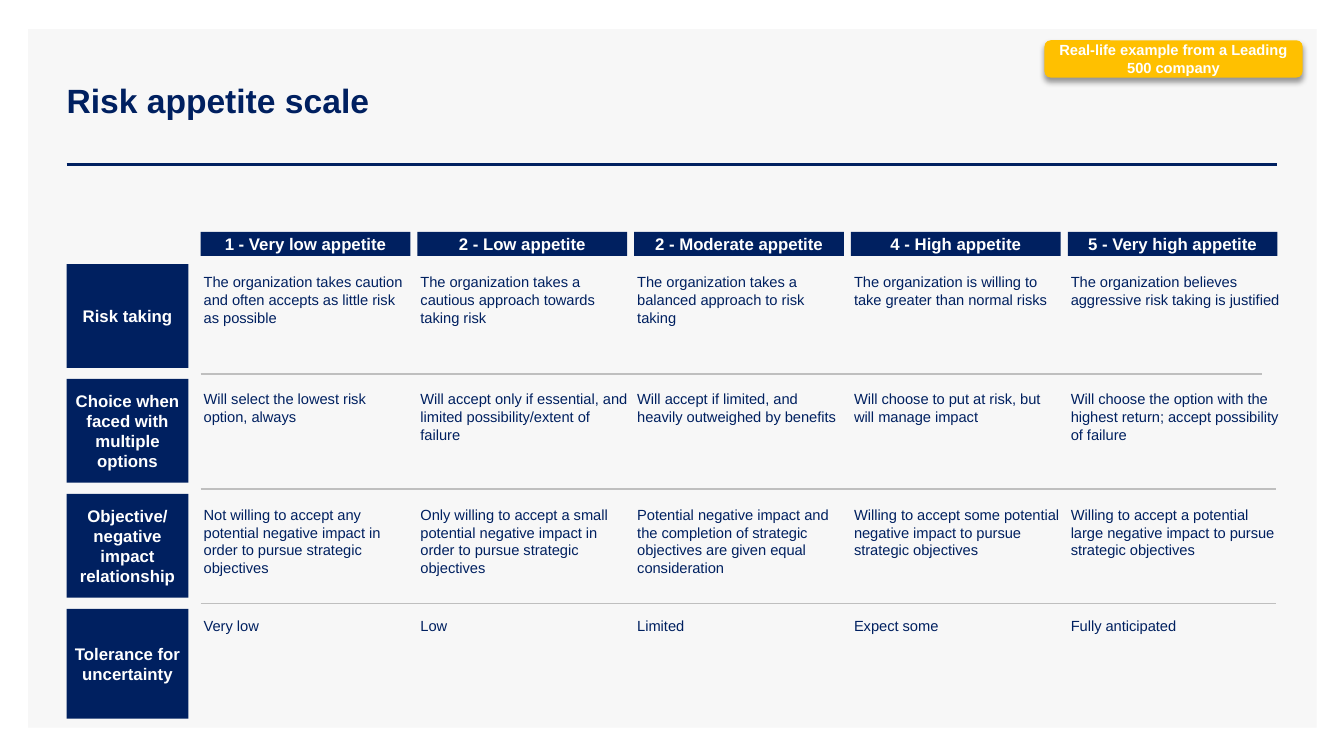
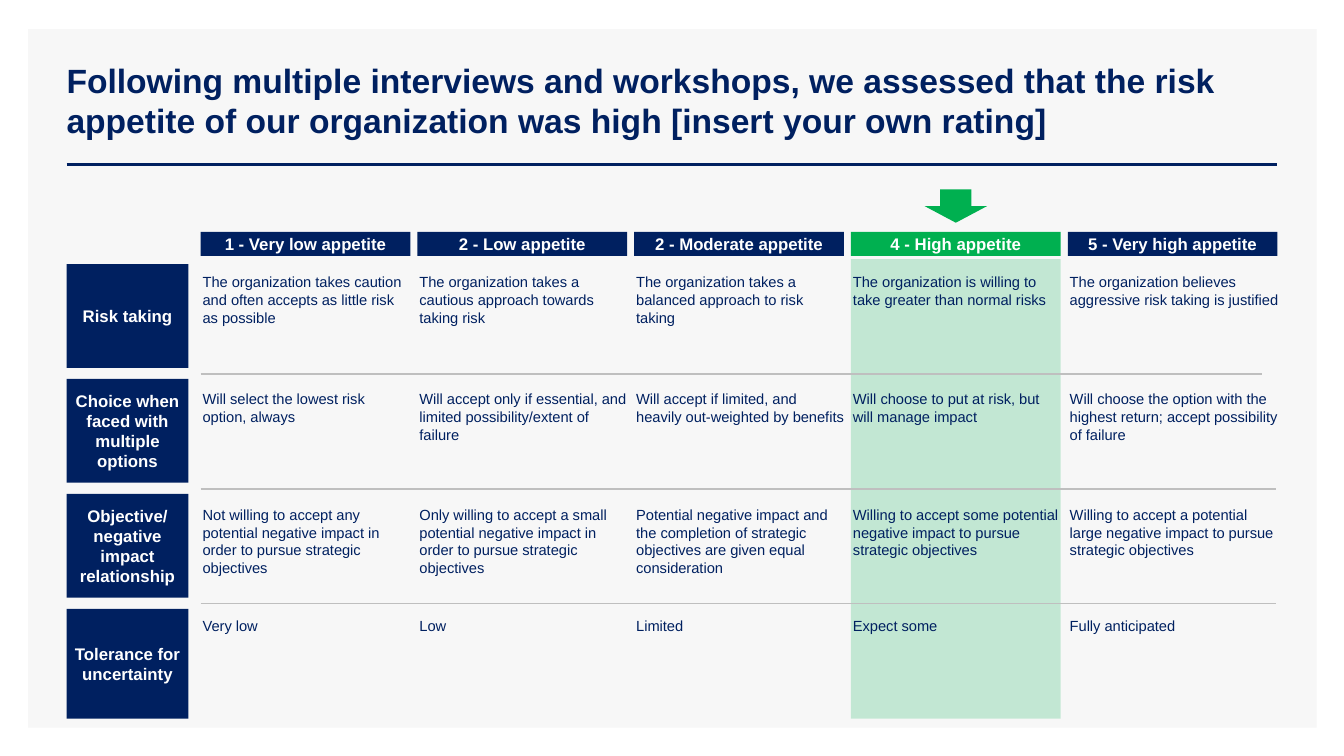
from dataclasses import dataclass

from lxml import etree
from pptx import Presentation
from pptx.dml.color import RGBColor
from pptx.enum.shapes import MSO_CONNECTOR, MSO_SHAPE
from pptx.enum.text import MSO_ANCHOR, MSO_AUTO_SIZE, PP_ALIGN
from pptx.oxml import parse_xml
from pptx.oxml.ns import nsdecls, qn
from pptx.util import Inches, Pt

RECTANGLE = MSO_SHAPE.RECTANGLE
ROUNDED = MSO_SHAPE.ROUNDED_RECTANGLE
DOWN_ARROW = MSO_SHAPE.DOWN_ARROW
STRAIGHT = MSO_CONNECTOR.STRAIGHT
TOP, MIDDLE = MSO_ANCHOR.TOP, MSO_ANCHOR.MIDDLE
LEFT, CENTER = PP_ALIGN.LEFT, PP_ALIGN.CENTER
NO_AUTOFIT = MSO_AUTO_SIZE.NONE


@dataclass(frozen=True)
class Theme:
    font: str = "Arial"
    navy: RGBColor = RGBColor(0x00, 0x20, 0x60)
    green: RGBColor = RGBColor(0x00, 0xB0, 0x50)
    amber: RGBColor = RGBColor(0xFF, 0xC0, 0x00)
    panel: RGBColor = RGBColor(0xF7, 0xF7, 0xF7)
    divider: RGBColor = RGBColor(0xBF, 0xBF, 0xBF)
    white: RGBColor = RGBColor(0xFF, 0xFF, 0xFF)
    title_size: float = 24
    label_size: float = 12
    body_size: float = 10.5


THEME = Theme()


def write(shape, text, size=THEME.label_size, color=THEME.white, bold=True, align=CENTER,
          anchor=MIDDLE, margins=(0.06, 0.06), wrap=True, spacing=0):
    frame = shape.text_frame
    frame.auto_size = NO_AUTOFIT
    frame.word_wrap = wrap
    frame.vertical_anchor = anchor
    frame.margin_left = frame.margin_right = Inches(margins[0])
    frame.margin_top = frame.margin_bottom = Inches(margins[1])
    paragraph = frame.paragraphs[0]
    paragraph.alignment = align
    paragraph.space_before = paragraph.space_after = Pt(spacing)
    run = paragraph.add_run()
    run.text = text
    run.font.name = THEME.font
    run.font.size = Pt(size)
    run.font.bold = bold
    run.font.color.rgb = color


def draw(slide, kind, left, top, width, height, color, line_width=1):
    box = [Inches(value) for value in (left, top, width, height)]
    if kind is STRAIGHT:
        rule = slide.shapes.add_connector(kind, box[0], box[1], box[0] + box[2], box[1] + box[3])
        rule.line.color.rgb = color
        rule.line.width = Pt(line_width)
        etree.SubElement(rule._element.spPr, qn("a:effectLst"))
        return rule
    shape = slide.shapes.add_shape(kind, *box)
    shape.shadow.inherit = False
    shape.fill.solid()
    shape.fill.fore_color.rgb = color
    shape.line.fill.background()
    return shape


LEVELS = ["1 - Very low appetite", "2 - Low appetite", "2 - Moderate appetite",
          "4 - High appetite", "5 - Very high appetite"]
CRITERIA = [
    ("Risk taking", 2.71, [
        "The organization takes caution and often accepts as little risk as possible",
        "The organization takes a cautious approach towards taking risk",
        "The organization takes a balanced approach to risk taking",
        "The organization is willing to take greater than normal risks",
        "The organization believes aggressive risk taking is justified"]),
    ("Choice when faced with multiple options", 3.87, [
        "Will select the lowest risk option, always",
        "Will accept only if essential, and limited possibility/extent of failure",
        "Will accept if limited, and heavily {weighed} by benefits",
        "Will choose to put at risk, but will manage impact",
        "Will choose the option with the highest return; accept possibility of failure"]),
    ("Objective/{gap}negative impact relationship", 5.02, [
        "Not willing to accept any potential negative impact in order to pursue strategic objectives",
        "Only willing to accept a small potential negative impact in order to pursue strategic objectives",
        "Potential negative impact and the completion of strategic objectives are given equal consideration",
        "Willing to accept some potential negative impact to pursue strategic objectives",
        "Willing to accept a potential large negative impact to pursue strategic objectives"]),
    ("Tolerance for uncertainty", 6.12,
     ["Very low", "Low", "Limited", "Expect some", "Fully anticipated"]),
]
SCALES = [
    {"title": "Risk appetite scale", "rating": None, "indent": 0.03,
     "badge": "Real-life example from a Leading 500 company",
     "wording": {"weighed": "outweighed", "gap": ""}},
    {"title": "Following multiple interviews and workshops, we assessed that the risk appetite "
              "of our organization was high [insert your own rating]",
     "rating": 3, "indent": 0.02, "badge": None,
     "wording": {"weighed": "out-weighted", "gap": " "}},
]
MARGIN_LEFT, GRID_LEFT, GRID_RIGHT = 0.66, 1.99, 12.66
COLUMN_PITCH, COLUMN_WIDTH = 2.15, 2.08
ROW_TOP, ROW_PITCH = 2.62, 1.14
LABEL_WIDTH, LABEL_HEIGHT, LAST_LABEL_HEIGHT = 1.21, 1.03, 1.09
HEADER_TOP, HEADER_HEIGHT = 2.3, 0.24
ARROW_WIDTH = 0.62

deck = Presentation()
deck.slide_width, deck.slide_height = Inches(13.33), Inches(7.5)
layout = deck.slide_layouts[5]
for footer in list(layout.placeholders)[1:]:
    layout.shapes._spTree.remove(footer._element)
slides = [deck.slides.add_slide(layout) for scale in SCALES]

panel = draw(slides[0], RECTANGLE, 0.28, 0.29, 12.78, 6.93, THEME.panel)
title_rule = draw(slides[0], STRAIGHT, MARGIN_LEFT, 1.63, 12.01, 0, THEME.navy, line_width=2)
for position, backdrop in enumerate((panel, title_rule), start=2):
    layout.shapes._spTree.insert(position, backdrop._element)

for slide, scale in zip(slides, SCALES):
    rating = scale["rating"]
    title = slide.shapes.title
    title.left, title.top = Inches(0.56), Inches(0.4)
    title.width, title.height = Inches(12.11), Inches(1.19)
    write(title, scale["title"], size=THEME.title_size, color=THEME.navy, align=LEFT,
          margins=(0.1, 0.05))

    if rating is not None:
        rated_left = GRID_LEFT + rating * COLUMN_PITCH
        highlight = draw(slide, RECTANGLE, rated_left, 2.57, COLUMN_WIDTH, 4.56, THEME.green)
        tint = highlight._element.spPr.find(qn("a:solidFill"))[0]
        etree.SubElement(tint, qn("a:alpha"), val="21000")
        draw(slide, DOWN_ARROW, rated_left + (COLUMN_WIDTH - ARROW_WIDTH) / 2, 1.88,
             ARROW_WIDTH, 0.33, THEME.green)

    for column, level in enumerate(LEVELS):
        header = draw(slide, RECTANGLE, GRID_LEFT + column * COLUMN_PITCH, HEADER_TOP,
                      COLUMN_WIDTH, HEADER_HEIGHT,
                      THEME.green if column == rating else THEME.navy)
        write(header, level, wrap=False)

    for row, (criterion, text_top, descriptions) in enumerate(CRITERIA):
        row_top = ROW_TOP + row * ROW_PITCH
        is_last = row == len(CRITERIA) - 1
        label = draw(slide, RECTANGLE, MARGIN_LEFT, row_top, LABEL_WIDTH,
                     LAST_LABEL_HEIGHT if is_last else LABEL_HEIGHT, THEME.navy)
        write(label, criterion.format(**scale["wording"]),
              margins=(0, 0.06) if "/" in criterion else (0.06, 0.06))
        if not is_last:
            divider_right = 12.52 if row == 0 else GRID_RIGHT
            draw(slide, STRAIGHT, GRID_LEFT, row_top + 1.09, divider_right - GRID_LEFT, 0,
                 THEME.divider)
        for column, description in enumerate(descriptions):
            cell = slide.shapes.add_textbox(
                Inches(GRID_LEFT + column * COLUMN_PITCH + scale["indent"]), Inches(text_top),
                Inches(COLUMN_WIDTH), Inches(0.18 if is_last else 0.71))
            write(cell, description.format(**scale["wording"]), size=THEME.body_size,
                  color=THEME.navy, bold=False, align=LEFT, anchor=TOP, margins=(0, 0),
                  spacing=1)

    if scale["badge"]:
        badge = draw(slide, ROUNDED, 10.36, 0.4, 2.56, 0.37, THEME.amber)
        write(badge, scale["badge"], size=THEME.body_size, margins=(0.1, 0.05))
        badge._element.spPr.find(qn("a:effectLst")).append(parse_xml(
            f'<a:outerShdw {nsdecls("a")} blurRad="{Pt(4)}" dist="{Pt(3)}" dir="5400000" '
            'rotWithShape="0"><a:srgbClr val="000000"><a:alpha val="40000"/></a:srgbClr>'
            '</a:outerShdw>'))

deck.save("out.pptx")
